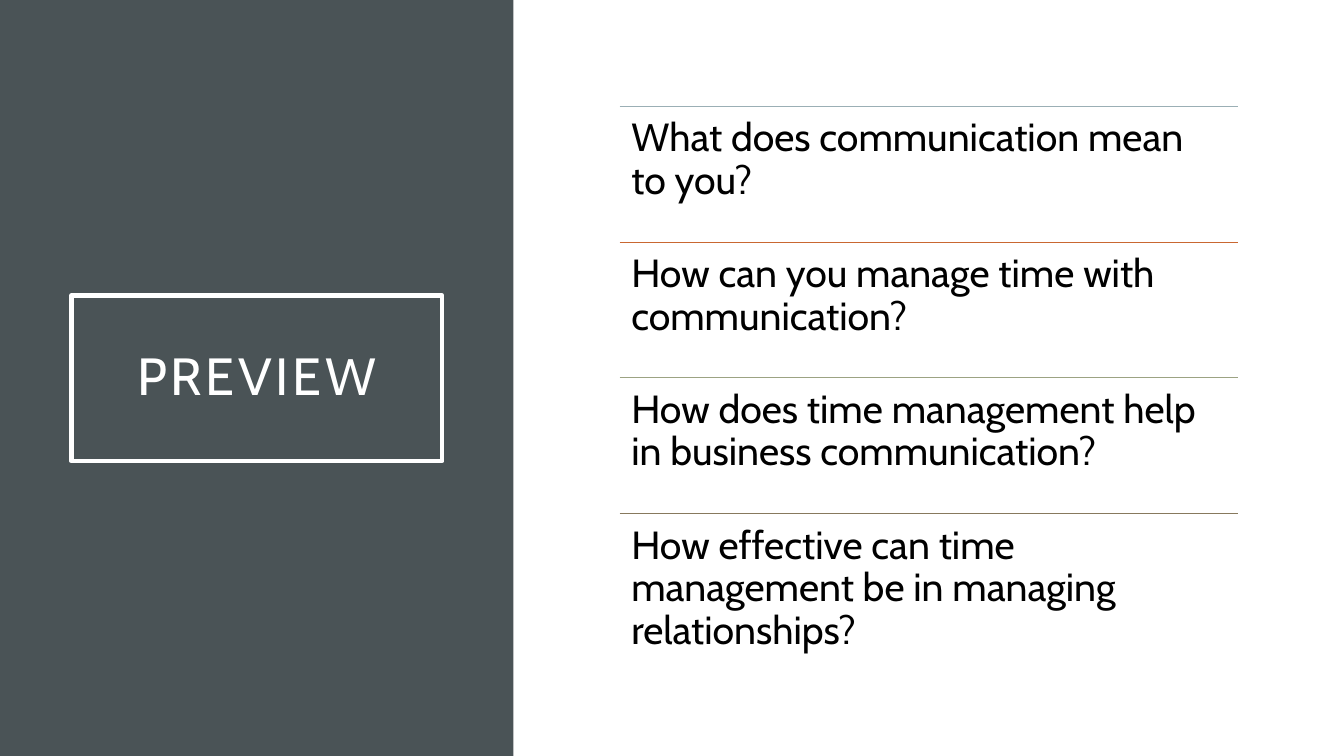
from dataclasses import dataclass

from pptx import Presentation
from pptx import util as u
from pptx.dml.color import RGBColor
from pptx.enum import shapes, text
from pptx.oxml.ns import qn
from pptx.shapes.base import BaseShape
from pptx.slide import Slide
from pptx.text.text import TextFrame
from lxml import etree

COLORS = {
    "white": "FFFFFF",
    "slate": "4A5356",
    "black": "000000",
    "blue": "9BAFB5",
    "orange": "C96731",
    "green": "9CA383",
    "brown": "87795D",
}
FONT = "Cabin"
LIST_LEFT, LIST_TOP = 331.9, 56.9
ROW_WIDTH, ROW_HEIGHT = 331.2, 72.8


@dataclass(frozen=True)
class Question:
    wording: str
    rule_color: str


QUESTIONS = (
    Question("What does communication mean to you?", "blue"),
    Question("How can you manage time with communication?", "orange"),
    Question("How does time management help in business communication?", "green"),
    Question("How effective can time management be in managing relationships?", "brown"),
)


def rgb(name: str) -> RGBColor:
    return RGBColor.from_string(COLORS[name])


def add_rectangle(slide: Slide, left: float, top: float, width: float, height: float) -> BaseShape:
    shape = slide.shapes.add_shape(
        shapes.MSO_SHAPE.RECTANGLE, u.Pt(left), u.Pt(top), u.Pt(width), u.Pt(height)
    )
    shape.shadow.inherit = False
    return shape


def write_text(frame: TextFrame, wording: str, size: float, color: str, inset: float) -> None:
    frame.word_wrap = True
    frame.margin_left = frame.margin_right = u.Pt(inset)
    frame.margin_top = frame.margin_bottom = u.Pt(inset)
    paragraph = frame.paragraphs[0]
    paragraph.text = wording
    paragraph.line_spacing = 0.9
    paragraph.font.name = FONT
    paragraph.font.size = u.Pt(size)
    paragraph.font.color.rgb = rgb(color)


def add_panel(slide: Slide) -> None:
    panel = add_rectangle(slide, 0, 0, 275, 405)
    panel.fill.solid()
    panel.fill.fore_color.rgb = rgb("slate")
    panel.line.fill.background()


def add_title(slide: Slide) -> None:
    title = add_rectangle(slide, 38.2, 158.4, 198.7, 88.6)
    title.fill.background()
    title.line.color.rgb = rgb("white")
    title.line.width = u.Pt(2.5)
    frame = title.text_frame
    write_text(frame, "PREVIEW", 28, "white", 14.4)
    frame.vertical_anchor = text.MSO_ANCHOR.MIDDLE
    paragraph = frame.paragraphs[0]
    paragraph.alignment = text.PP_ALIGN.CENTER
    paragraph.runs[0].font._element.set("spc", "200")


def add_question(slide: Slide, question: Question, top: float) -> None:
    rule = slide.shapes.add_connector(
        shapes.MSO_CONNECTOR.STRAIGHT,
        u.Pt(LIST_LEFT), u.Pt(top), u.Pt(LIST_LEFT + ROW_WIDTH), u.Pt(top),
    )
    rule.line.color.rgb = rgb(question.rule_color)
    rule.line.width = u.Pt(0.5)
    etree.SubElement(rule._element.spPr, qn("a:effectLst"))
    box = slide.shapes.add_textbox(
        u.Pt(LIST_LEFT), u.Pt(top), u.Pt(ROW_WIDTH), u.Pt(ROW_HEIGHT)
    )
    write_text(box.text_frame, question.wording, 21, "black", 6.3)


def main() -> None:
    presentation = Presentation()
    presentation.slide_width, presentation.slide_height = u.Pt(720), u.Pt(405)
    slide = presentation.slides.add_slide(presentation.slide_layouts[6])
    add_panel(slide)
    add_title(slide)
    for index, question in enumerate(QUESTIONS):
        add_question(slide, question, LIST_TOP + index * ROW_HEIGHT)
    presentation.save("out.pptx")


if __name__ == "__main__":
    main()
